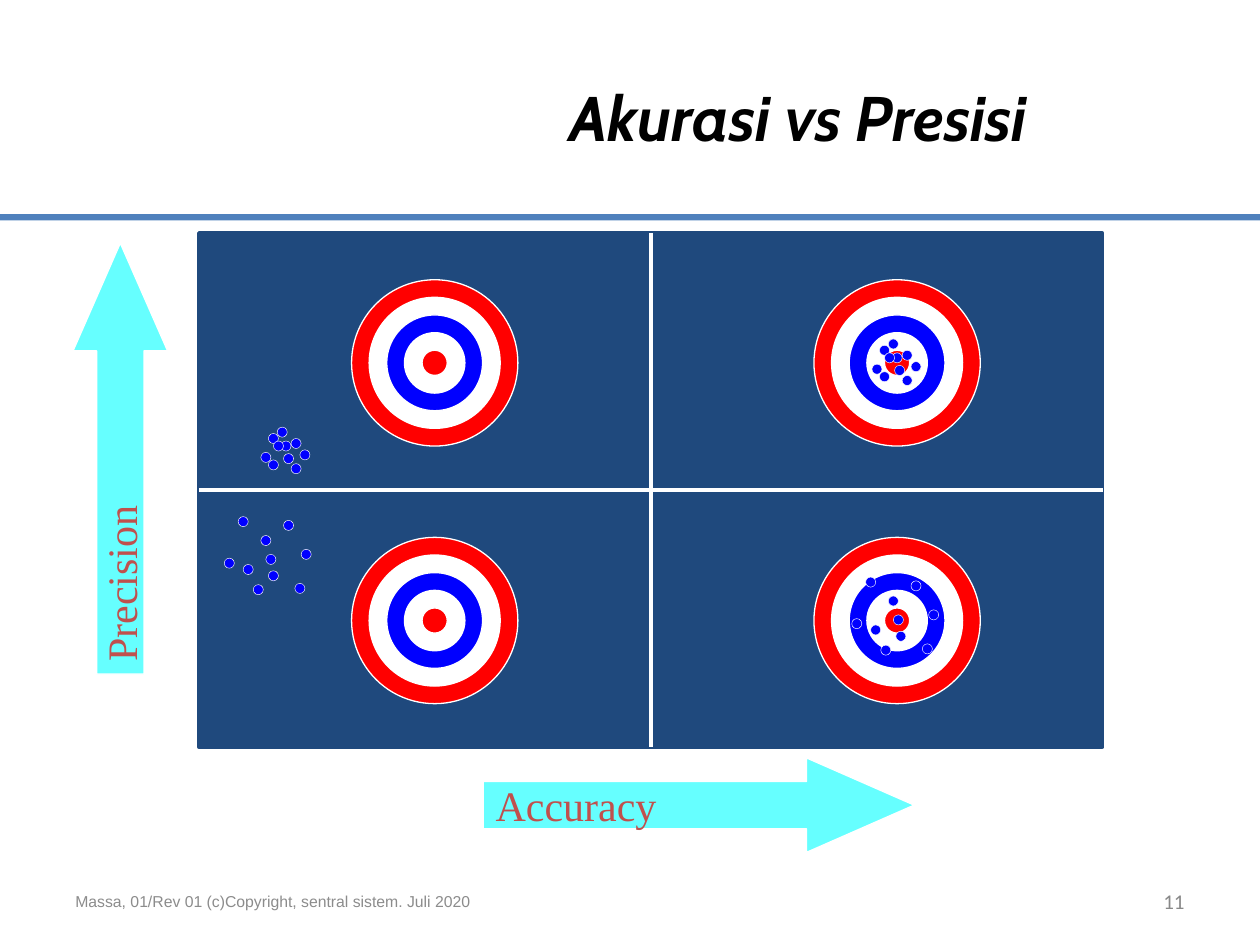
from dataclasses import dataclass

from lxml.etree import SubElement
from pptx import Presentation
from pptx.dml.color import RGBColor
from pptx.enum.shapes import MSO_CONNECTOR, MSO_SHAPE
from pptx.enum.text import MSO_ANCHOR, PP_ALIGN
from pptx.oxml.ns import qn
from pptx.util import Inches, Pt

# The slide is a grid of 100 columns by 75 rows with square cells
COLUMNS, ROWS = 100, 75
NAVY, RED, BLUE, WHITE = "1F497D", "FF0000", "0000FF", "FFFFFF"
CYAN, BRICK, RULE_BLUE = "66FFFF", "C0504D", "4F81BD"

prs = Presentation()
prs.slide_width, prs.slide_height = Inches(10), Inches(7.5)
slide = prs.slides.add_slide(prs.slide_layouts[6])


@dataclass(frozen=True)
class Area:
    column: float
    row: float
    columns: float
    rows: float

    def emu(self) -> list[int]:
        width, height = prs.slide_width / COLUMNS, prs.slide_height / ROWS
        return [round(self.column * width), round(self.row * height),
                round(self.columns * width), round(self.rows * height)]


@dataclass(frozen=True)
class Style:
    font: str
    size: float
    color: str
    bold: bool = False
    italic: bool = False


@dataclass(frozen=True)
class Quadrant:
    target: tuple[float, float]
    hits_origin: tuple[float, float]
    hits: list[tuple[float, float]]


@dataclass(frozen=True)
class Arrow:
    label: str
    area: Area
    rotation: float


@dataclass(frozen=True)
class Caption:
    text: str
    area: Area
    style: Style
    align: PP_ALIGN


def rgb(color: str) -> RGBColor:
    return RGBColor.from_string(color)


def add_filled(kind: MSO_SHAPE, area: Area, fill: str, line: str = "", weight: float = 0):
    shape = slide.shapes.add_shape(kind, *area.emu())
    shape.shadow.inherit = False
    shape.fill.solid()
    shape.fill.fore_color.rgb = rgb(fill)
    if line:
        shape.line.color.rgb = rgb(line)
        shape.line.width = Pt(weight)
    else:
        shape.line.fill.background()
    return shape


def write(frame, text: str, style: Style, align: PP_ALIGN) -> None:
    frame.vertical_anchor = MSO_ANCHOR.MIDDLE
    paragraph = frame.paragraphs[0]
    paragraph.alignment = align
    run = paragraph.add_run()
    run.text = text
    run.font.name, run.font.size = style.font, Pt(style.size)
    run.font.bold, run.font.italic = style.bold, style.italic
    run.font.color.rgb = rgb(style.color)


def add_disc(center: tuple[float, float], diameter: float, fill: str, weight: float) -> None:
    x, y = center
    area = Area(x - diameter / 2, y - diameter / 2, diameter, diameter)
    add_filled(MSO_SHAPE.OVAL, area, fill, WHITE, weight)


def add_target(center: tuple[float, float]) -> None:
    for ring, fill in enumerate((RED, WHITE, BLUE, WHITE, RED)):
        add_disc(center, 13.2 - 2.8 * ring, fill, 0.75)


def add_hits(quadrant: Quadrant) -> None:
    x, y = quadrant.hits_origin
    for dx, dy in quadrant.hits:
        add_disc((x + dx, y + dy), 0.8, BLUE, 0.25)


def add_divider(board, start_site: int, end_site: int) -> None:
    divider = slide.shapes.add_connector(MSO_CONNECTOR.STRAIGHT, 0, 0, 0, 0)
    divider.begin_connect(board, start_site)
    divider.end_connect(board, end_site)
    divider.line.color.rgb = rgb(WHITE)
    divider.line.width = Pt(2.25)
    SubElement(divider._element.spPr, qn("a:effectLst"))


def add_arrow(arrow: Arrow) -> None:
    shape = add_filled(MSO_SHAPE.UP_ARROW, arrow.area, CYAN, WHITE, 0.75)
    shape.adjustments[0], shape.adjustments[1] = 0.5, 1.14
    shape.rotation = arrow.rotation
    frame = shape.text_frame
    frame.word_wrap = False
    # The label runs along the shaft, towards the arrowhead
    body = frame._txBody.bodyPr
    body.set("vert", "eaVert")
    body.set("rot", "10800000")
    write(frame, arrow.label, Style("Times New Roman", 24, BRICK), PP_ALIGN.CENTER)


def add_caption(caption: Caption) -> None:
    frame = slide.shapes.add_textbox(*caption.area.emu()).text_frame
    frame.word_wrap = True
    write(frame, caption.text, caption.style, caption.align)


# Hit patterns, measured from the top left hit area
TIGHT = [(0.6, 0.5), (1.6, 1.1), (2.4, 2.9), (0.6, 2.6), (3.1, 1.8),
         (1.8, 2.1), (2.4, 0.9), (1, 1.1), (1.3, 0), (0, 2)]
SCATTERED = [(4.7, 0.3), (2.3, 5.4), (0, 3.3), (3.3, 3), (6.1, 2.6),
             (5.6, 5.3), (3.5, 4.3), (2.9, 1.5), (1.1, 0), (1.5, 3.8)]
LEFT, RIGHT, UPPER, LOWER = 34.5, 71.2, 28.8, 49.25
QUADRANTS = [
    Quadrant((LEFT, UPPER), (21.1, 34.3), TIGHT),
    Quadrant((RIGHT, UPPER), (69.6, 27.3), TIGHT),
    Quadrant((LEFT, LOWER), (18.2, 41.4), SCATTERED),
    Quadrant((RIGHT, LOWER), (68, 46.2), SCATTERED),
]
ARROWS = [
    Arrow("Accuracy", Area(51.7, 46.8, 7.5, 34.2), 90),
    Arrow("Precision ", Area(5.8, 19.3, 7.5, 34.2), 0),
]
CAPTIONS = [
    Caption("Akurasi vs Presisi", Area(5, 3, 77.5, 12.5),
            Style("Cabin", 36, "000000", True, True), PP_ALIGN.RIGHT),
    Caption("Massa, 01/Rev 01 (c)Copyright, sentral sistem. Juli 2020",
            Area(5, 69.5, 35, 4), Style("Arial", 9, "8C8C8C"), PP_ALIGN.LEFT),
    Caption("11", Area(71.7, 69.5, 23.3, 4),
            Style("Calibri", 12, "898989"), PP_ALIGN.RIGHT),
]

# Board split into four quadrants
board = add_filled(MSO_SHAPE.RECTANGLE, Area(15.8, 18.5, 71.7, 40.8), NAVY, NAVY, 2.25)
add_divider(board, 0, 2)
add_divider(board, 1, 3)

# Axis arrows
for arrow in ARROWS:
    add_arrow(arrow)

# Targets and their hits
for quadrant in QUADRANTS:
    add_target(quadrant.target)
    add_hits(quadrant)

# Rule under the title, then title and footer
add_filled(MSO_SHAPE.RECTANGLE, Area(0, 17, COLUMNS, 0.5), RULE_BLUE)
for caption in CAPTIONS:
    add_caption(caption)

prs.save("out.pptx")
